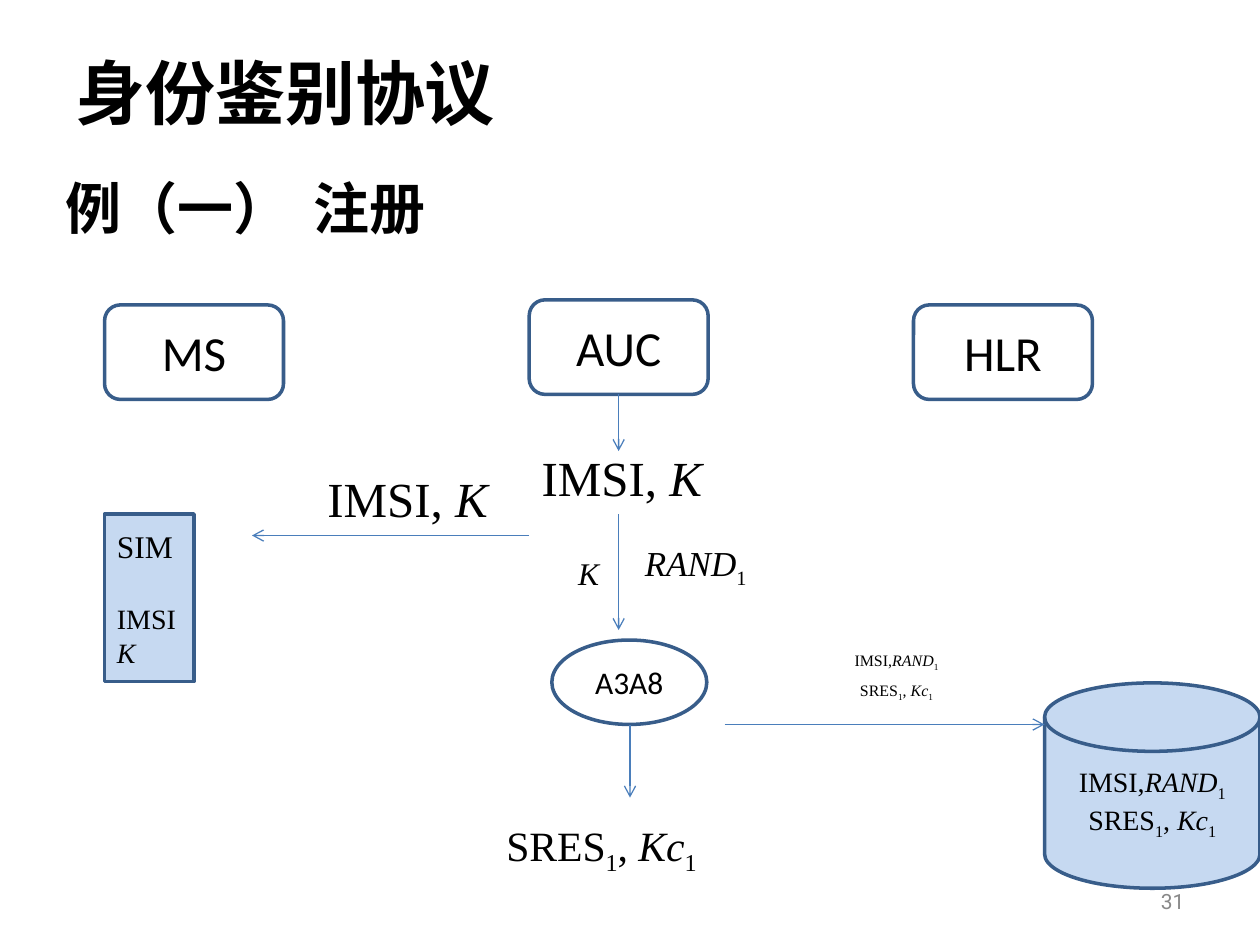
"""Build the slide on the registration step of an identity protocol."""
from dataclasses import dataclass

from lxml import etree
from pptx import Presentation
from pptx import util as u
from pptx.dml.color import RGBColor
from pptx.enum import shapes, text
from pptx.oxml.ns import qn


@dataclass(frozen=True)
class Theme:
    """Colours, fonts and type sizes of the slide."""
    ink: str = "000000"
    muted: str = "898989"
    outline: str = "385D8A"
    arrow: str = "4A7EBB"
    fill: str = "C6D9F1"
    heading_font: str = "Noto Sans CJK SC"
    label_font: str = "Calibri"
    formula_font: str = "Times New Roman"
    number_font: str = "Roboto"
    title: float = 40
    subtitle: float = 32
    large: float = 28
    result: float = 23.8
    medium: float = 20
    body: float = 18
    small: float = 16
    number: float = 12
    tiny: float = 9.1


THEME = Theme()
SHAPE = shapes.MSO_SHAPE
CENTER = text.PP_ALIGN.CENTER
MIDDLE = text.MSO_ANCHOR.MIDDLE
KEY = [("K", "italic")]
IMSI_KEY = [("IMSI, ", ""), *KEY]
RAND = [("RAND", "italic"), ("1", "sub")]
IMSI_RAND = [("IMSI,", ""), *RAND]
RESPONSE = [("SRES", ""), ("1", "sub"), (", ", ""), ("Kc", "italic"), ("1", "sub")]


def inches(values):
    """Turn a sequence of numbers into lengths."""
    return [u.Inches(value) for value in values]


def style_run(run, size, font, color=THEME.ink, bold=False, style=""):
    """Format one run, with an optional italic or subscript style."""
    run.font.size = u.Pt(size)
    run.font.name = font
    run.font.bold = bold
    run.font.italic = style == "italic"
    run.font.color.rgb = RGBColor.from_string(color)
    properties = run._r.get_or_add_rPr()
    etree.SubElement(properties, qn("a:ea"), typeface=font)
    if style == "sub":
        properties.set("baseline", "-25000")


def write_label(shape, wording, size, font, align=None, **look):
    """Write one plain line, centred vertically."""
    frame = shape.text_frame
    frame.text = wording
    frame.vertical_anchor = MIDDLE
    paragraph = frame.paragraphs[0]
    paragraph.alignment = align
    style_run(paragraph.runs[0], size, font, **look)
    return paragraph


def write_formulas(shape, lines, sizes, align=None, spacing=None, gaps=()):
    """Write one paragraph per formula, with gaps before the later ones."""
    frame = shape.text_frame
    for index, (line, size) in enumerate(zip(lines, sizes)):
        paragraph = frame.add_paragraph() if index else frame.paragraphs[0]
        paragraph.alignment = align
        paragraph.line_spacing = spacing
        if index and gaps:
            paragraph.space_before = u.Pt(gaps[index - 1])
        for wording, style in line:
            run = paragraph.add_run()
            run.text = wording
            style_run(run, size, THEME.formula_font, style=style)


def add_text_box(slide, box, wrap=True):
    """Add an empty text box."""
    shape = slide.shapes.add_textbox(*inches(box))
    shape.text_frame.word_wrap = wrap
    return shape


def add_node(slide, kind, box, fill=None):
    """Add an outlined shape, filled or open."""
    shape = slide.shapes.add_shape(kind, *inches(box))
    shape.shadow.inherit = False
    shape.line.color.rgb = RGBColor.from_string(THEME.outline)
    shape.line.width = u.Pt(2)
    if fill:
        shape.fill.solid()
        shape.fill.fore_color.rgb = RGBColor.from_string(fill)
    else:
        shape.fill.background()
    shape.text_frame.vertical_anchor = MIDDLE
    return shape


def add_arrow(slide, start, end):
    """Add a thin line with an open arrowhead at its end."""
    arrow = slide.shapes.add_connector(
        shapes.MSO_CONNECTOR.STRAIGHT, *inches(start + end))
    arrow.line.color.rgb = RGBColor.from_string(THEME.arrow)
    arrow.line.width = u.Pt(0.75)
    etree.SubElement(arrow.line._get_or_add_ln(), qn("a:tailEnd"), type="arrow")
    etree.SubElement(arrow._element.spPr, qn("a:effectLst"))
    return arrow


def add_headings(slide):
    """Add the title, the subtitle and the slide number."""
    title = add_text_box(slide, (0.5, 0.3, 9, 0.85))
    write_label(title, "身份鉴别协议", THEME.title, THEME.heading_font, bold=True)

    subtitle = add_text_box(slide, (0.42, 1.33, 3.5, 0.75))
    paragraph = write_label(
        subtitle, "例（一）\t注册", THEME.subtitle, THEME.heading_font, bold=True)
    subtitle.text_frame.vertical_anchor = text.MSO_ANCHOR.TOP
    tabs = etree.SubElement(paragraph._p.get_or_add_pPr(), qn("a:tabLst"))
    etree.SubElement(tabs, qn("a:tab"), pos=str(u.Inches(1.97)), algn="l")

    number = add_text_box(slide, (7.17, 6.95, 2.33, 0.4))
    write_label(number, "31", THEME.number, THEME.number_font,
                text.PP_ALIGN.RIGHT, color=THEME.muted)


def add_nodes(slide):
    """Add the parties, the algorithm and the two stores; return the parties."""
    parties = {}
    for name, left, top in (("MS", 0.83, 2.42), ("AUC", 4.2, 2.38), ("HLR", 7.25, 2.42)):
        parties[name] = add_node(slide, SHAPE.ROUNDED_RECTANGLE, (left, top, 1.42, 0.75))
        write_label(parties[name], name, THEME.large, THEME.label_font, CENTER)

    algorithm = add_node(slide, SHAPE.OVAL, (4.38, 5.08, 1.23, 0.67))
    write_label(algorithm, "A3A8", THEME.body, THEME.label_font, CENTER)

    card = add_node(slide, SHAPE.RECTANGLE, (0.83, 4.08, 0.71, 1.33), THEME.fill)
    write_formulas(card, [[("SIM", "")], [("IMSI", "")], KEY],
                   [THEME.body, THEME.small, THEME.small],
                   text.PP_ALIGN.LEFT, gaps=(21, 0))

    store = add_node(slide, SHAPE.FLOWCHART_MAGNETIC_DISK,
                     (8.29, 5.42, 1.71, 1.63), THEME.fill)
    write_formulas(store, [IMSI_RAND, RESPONSE], [THEME.small] * 2, CENTER)
    return parties


def add_formulas(slide):
    """Add the formulas that stand beside the arrows."""
    for box in ((4.2, 3.5, 1.55, 0.58), (2.5, 3.67, 1.55, 0.58)):
        write_formulas(add_text_box(slide, box), [IMSI_KEY], [THEME.large])
    key = add_text_box(slide, (4.49, 4.35, 0.36, 0.4), wrap=False)
    write_formulas(key, [KEY], [THEME.body])
    challenge = add_text_box(slide, (5.02, 4.25, 1.06, 0.48))
    write_formulas(challenge, [RAND], [THEME.medium])
    result = add_text_box(slide, (3.92, 6.46, 2.17, 0.58))
    write_formulas(result, [RESPONSE], [THEME.result], spacing=0.9)
    record = add_text_box(slide, (5.94, 5.13, 2.35, 0.58))
    write_formulas(record, [IMSI_RAND, RESPONSE], [THEME.tiny] * 2, CENTER, 0.8, (7,))


def main():
    """Build and save the presentation."""
    presentation = Presentation()
    presentation.slide_width, presentation.slide_height = inches((10, 7.5))
    slide = presentation.slides.add_slide(presentation.slide_layouts[6])
    add_headings(slide)
    parties = add_nodes(slide)
    add_formulas(slide)
    add_arrow(slide, (4.91, 3.13), (4.91, 3.58)).begin_connect(parties["AUC"], 2)
    for start, end in (((4.2, 4.25), (2, 4.25)), ((5.75, 5.75), (8.29, 5.75)),
                       ((4.91, 4.08), (4.91, 5)), ((5, 5.75), (5, 6.33))):
        add_arrow(slide, start, end)
    presentation.save("out.pptx")


if __name__ == "__main__":
    main()
